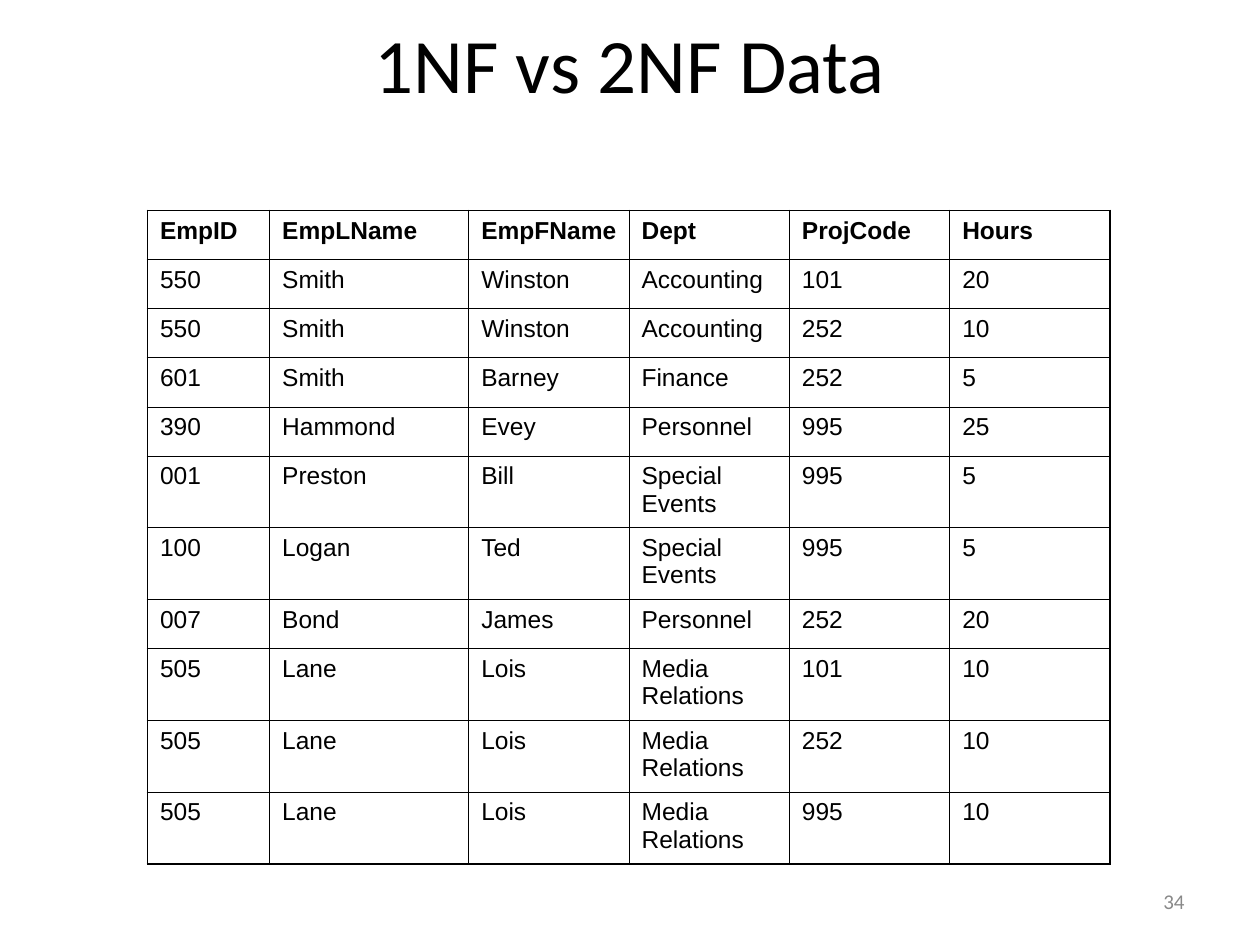
"""Builds the 1NF vs 2NF data slide: a title, an employee project table and a page number."""
from lxml import etree
from pptx import Presentation, util as u
from pptx.dml.color import RGBColor
from pptx.enum import text
from pptx.oxml.ns import qn


def add_words(frame, words, size, font, color, bold=False, align=text.PP_ALIGN.LEFT):
    frame.word_wrap = True
    paragraph = frame.paragraphs[0]
    paragraph.alignment = align
    run = paragraph.add_run()
    run.text = words
    run.font.size, run.font.name, run.font.bold = u.Pt(size), font, bold
    run.font.color.rgb = RGBColor.from_string(color)


def add_border(cell, side, points, color):
    line = etree.SubElement(cell._tc.get_or_add_tcPr(), qn(f"a:{side}"), w=str(u.Pt(points)))
    fill = etree.SubElement(line, qn("a:solidFill"))
    etree.SubElement(fill, qn("a:srgbClr"), val=color)


BLACK, GRAY = "000000", "898989"
THIN, THICK = 0.45, 1.08
records = [
    ("EmpID", "EmpLName", "EmpFName", "Dept", "ProjCode", "Hours"),
    ("550", "Smith", "Winston", "Accounting", "101", "20"),
    ("550", "Smith", "Winston", "Accounting", "252", "10"),
    ("601", "Smith", "Barney", "Finance", "252", "5"),
    ("390", "Hammond", "Evey", "Personnel", "995", "25"),
    ("001", "Preston", "Bill", "Special Events", "995", "5"),
    ("100", "Logan", "Ted", "Special Events", "995", "5"),
    ("007", "Bond", "James", "Personnel", "252", "20"),
    ("505", "Lane", "Lois", "Media Relations", "101", "10"),
    ("505", "Lane", "Lois", "Media Relations", "252", "10"),
    ("505", "Lane", "Lois", "Media Relations", "995", "10"),
]
table_width, id_width, surname_width = 7.64, 0.97, 1.58
column_widths = [id_width, surname_width] + [(table_width - id_width - surname_width) / 4] * 4
row_heights = [0.57 if " " in record[3] else 0.39 for record in records]

deck = Presentation()
deck.slide_width, deck.slide_height = u.Inches(10), u.Inches(7.5)
slide = deck.slides.add_slide(deck.slide_layouts[6])

captions = [
    ((0, 0.1, 10, 0.79), "1NF vs 2NF Data", 44, BLACK, text.PP_ALIGN.CENTER),
    ((7.17, 6.95, 2.33, 0.4), "34", 12, GRAY, text.PP_ALIGN.RIGHT),
]
for place, words, size, color, align in captions:
    caption = slide.shapes.add_textbox(*map(u.Inches, place)).text_frame
    caption.vertical_anchor = text.MSO_ANCHOR.MIDDLE
    add_words(caption, words, size, "Calibri", color, align=align)

place = (1.17, 1.67, table_width, sum(row_heights))
employees = slide.shapes.add_table(len(records), len(column_widths), *map(u.Inches, place)).table
employees.horz_banding = False
for column, width in zip(employees.columns, column_widths):
    column.width = u.Inches(width)
for row, height in zip(employees.rows, row_heights):
    row.height = u.Inches(height)

last_row, last_column = len(records) - 1, len(column_widths) - 1
for r, record in enumerate(records):
    for c, words in enumerate(record):
        cell = employees.cell(r, c)
        cell.margin_right = u.Inches(0.08)
        add_words(cell.text_frame, words, 14, "Arial", BLACK, bold=r == 0)
        outer_edges = {"lnL": c == 0, "lnR": c == last_column, "lnT": r == 0, "lnB": r == last_row}
        for side, outer in outer_edges.items():
            add_border(cell, side, THICK if outer else THIN, BLACK)
        cell.fill.background()

deck.save("out.pptx")
